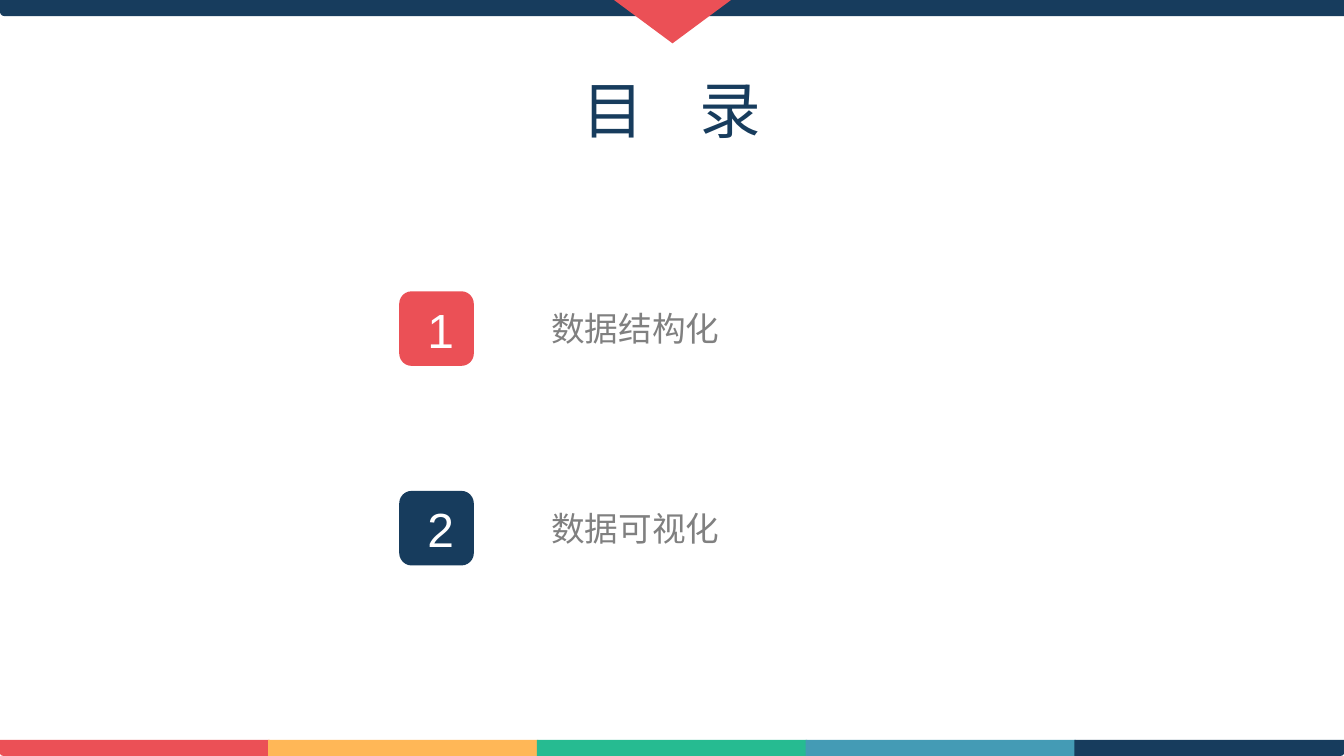
from lxml.etree import SubElement
from pptx import Presentation
from pptx.dml.color import RGBColor
from pptx.enum.shapes import MSO_SHAPE
from pptx.enum.text import MSO_ANCHOR, PP_ALIGN
from pptx.oxml.ns import qn
from pptx.util import Inches, Pt

NAVY = RGBColor(0x17, 0x3C, 0x5D)
RED = RGBColor(0xEB, 0x50, 0x56)
YELLOW = RGBColor(0xFF, 0xB7, 0x57)
GREEN = RGBColor(0x26, 0xBB, 0x91)
BLUE = RGBColor(0x44, 0x9B, 0xB5)
GRAY = RGBColor(0x80, 0x80, 0x80)
WHITE = RGBColor(0xFF, 0xFF, 0xFF)

LATIN_FONT = "Arial"
CHINESE_FONT = "Noto Sans CJK SC"

SLIDE_WIDTH = 13.33
SLIDE_HEIGHT = 7.5
BAND_HEIGHT = 0.16
FOOTER_COLORS = (RED, YELLOW, GREEN, BLUE, NAVY)
ITEMS = (("1", "数据结构化", RED), ("2", "数据可视化", NAVY))
FIRST_ITEM_TOP = 2.89
ITEM_PITCH = 1.98


def add_filled_shape(slide, preset, left, top, width, height, color):
    shape = slide.shapes.add_shape(
        preset, Inches(left), Inches(top), Inches(width), Inches(height))
    shape.shadow.inherit = False
    shape.fill.solid()
    shape.fill.fore_color.rgb = color
    shape.line.fill.background()
    return shape


def add_band(slide, center_x, center_y, length, color, corner, flip_vertical=False):
    """Add a horizontal band, stored as an upright shape turned by 270 degrees."""
    band = add_filled_shape(
        slide, MSO_SHAPE.ROUND_1_RECTANGLE, center_x - BAND_HEIGHT / 2,
        center_y - length / 2, BAND_HEIGHT, length, color)
    band.adjustments[0] = corner
    band.rotation = 270
    transform = band._element.spPr.find(qn("a:xfrm"))
    transform.set("flipH", "1")
    if flip_vertical:
        transform.set("flipV", "1")


def add_text_box(slide, left, top, width, height, anchor, alignment):
    """Add an empty text box and return its first paragraph."""
    text_box = slide.shapes.add_textbox(
        Inches(left), Inches(top), Inches(width), Inches(height))
    text_box.text_frame.word_wrap = True
    text_box.text_frame.vertical_anchor = anchor
    paragraph = text_box.text_frame.paragraphs[0]
    paragraph.alignment = alignment
    return paragraph


def add_run(paragraph, text, size, color, font_name=LATIN_FONT):
    run = paragraph.add_run()
    run.text = text
    run.font.size = Pt(size)
    run.font.name = font_name
    run.font.color.rgb = color
    return run


def add_footer(slide):
    pitch = SLIDE_WIDTH / len(FOOTER_COLORS)
    last = len(FOOTER_COLORS) - 1
    for index, color in enumerate(FOOTER_COLORS):
        corner = 0.268 if index in (0, last) else 0
        add_band(slide, (index + 0.5) * pitch, SLIDE_HEIGHT - BAND_HEIGHT / 2,
                 2.68, color, corner, flip_vertical=index == last)


def add_title(slide):
    paragraph = add_text_box(
        slide, 5.44, 0.4, 2.44, 1.45, MSO_ANCHOR.MIDDLE, PP_ALIGN.CENTER)
    paragraph.line_spacing = 0.9
    add_run(paragraph, "目", 44, NAVY)
    gap = add_run(paragraph, " ", 44, NAVY)
    gap._r.get_or_add_rPr().set("spc", "2960")
    add_run(paragraph, "录", 44, NAVY)


def add_item(slide, top, number, label, color):
    add_filled_shape(
        slide, MSO_SHAPE.ROUNDED_RECTANGLE, 3.96, top, 0.74, 0.74, color)
    number_paragraph = add_text_box(
        slide, 4.14, top + 0.02, 0.39, 0.71, MSO_ANCHOR.MIDDLE, PP_ALIGN.CENTER)
    add_run(number_paragraph, number, 34.2, WHITE)
    label_paragraph = add_text_box(
        slide, 5.37, top + 0.12, 4, 0.51, MSO_ANCHOR.TOP, PP_ALIGN.LEFT)
    run = add_run(label_paragraph, label, 24, GRAY, CHINESE_FONT)
    east_asian = SubElement(run._r.get_or_add_rPr(), qn("a:ea"))
    east_asian.set("typeface", CHINESE_FONT)


def main():
    presentation = Presentation()
    presentation.slide_width = Inches(SLIDE_WIDTH)
    presentation.slide_height = Inches(SLIDE_HEIGHT)
    slide = presentation.slides.add_slide(presentation.slide_layouts[6])

    add_footer(slide)
    add_band(slide, SLIDE_WIDTH / 2, BAND_HEIGHT / 2, SLIDE_WIDTH, NAVY, 0.268)
    add_title(slide)
    for index, (number, label, color) in enumerate(ITEMS):
        add_item(slide, FIRST_ITEM_TOP + index * ITEM_PITCH, number, label, color)
    pointer = add_filled_shape(
        slide, MSO_SHAPE.ISOSCELES_TRIANGLE, 6.09, 0, 1.16, 0.43, RED)
    pointer.rotation = 180

    presentation.save("out.pptx")


if __name__ == "__main__":
    main()
